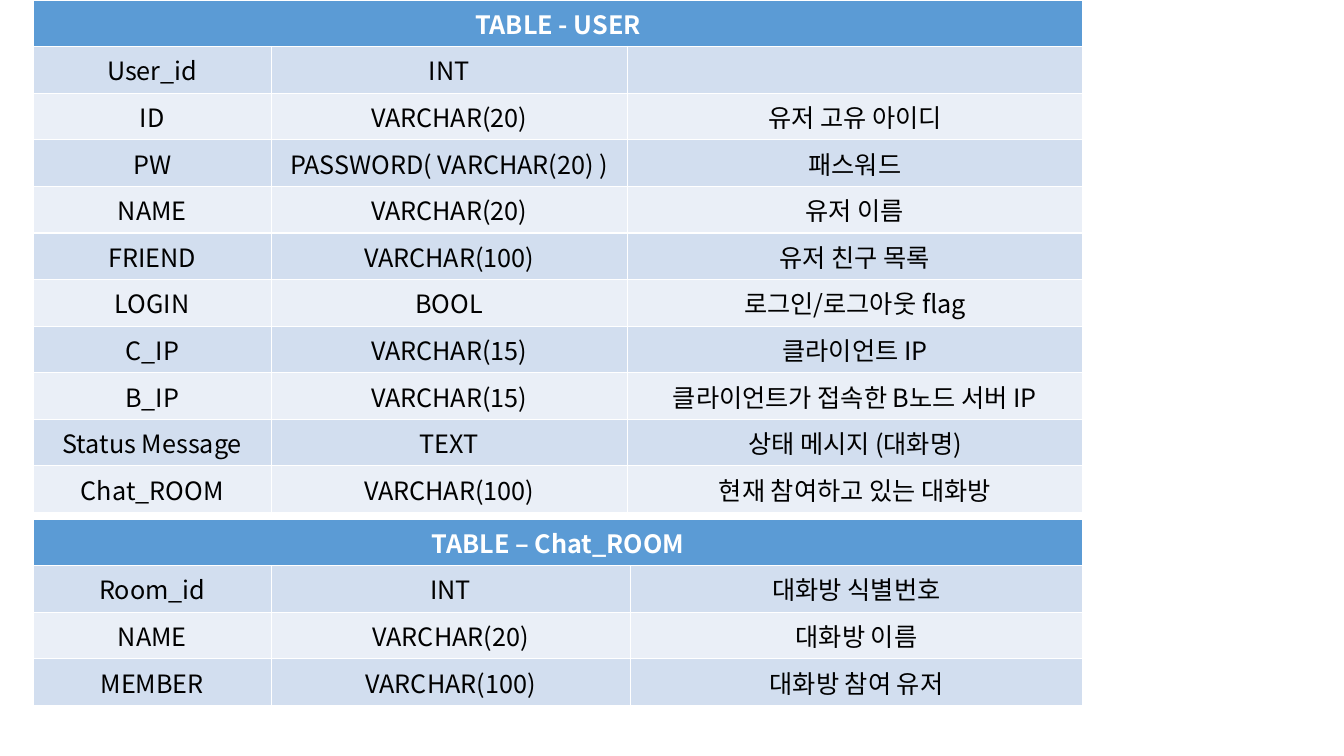
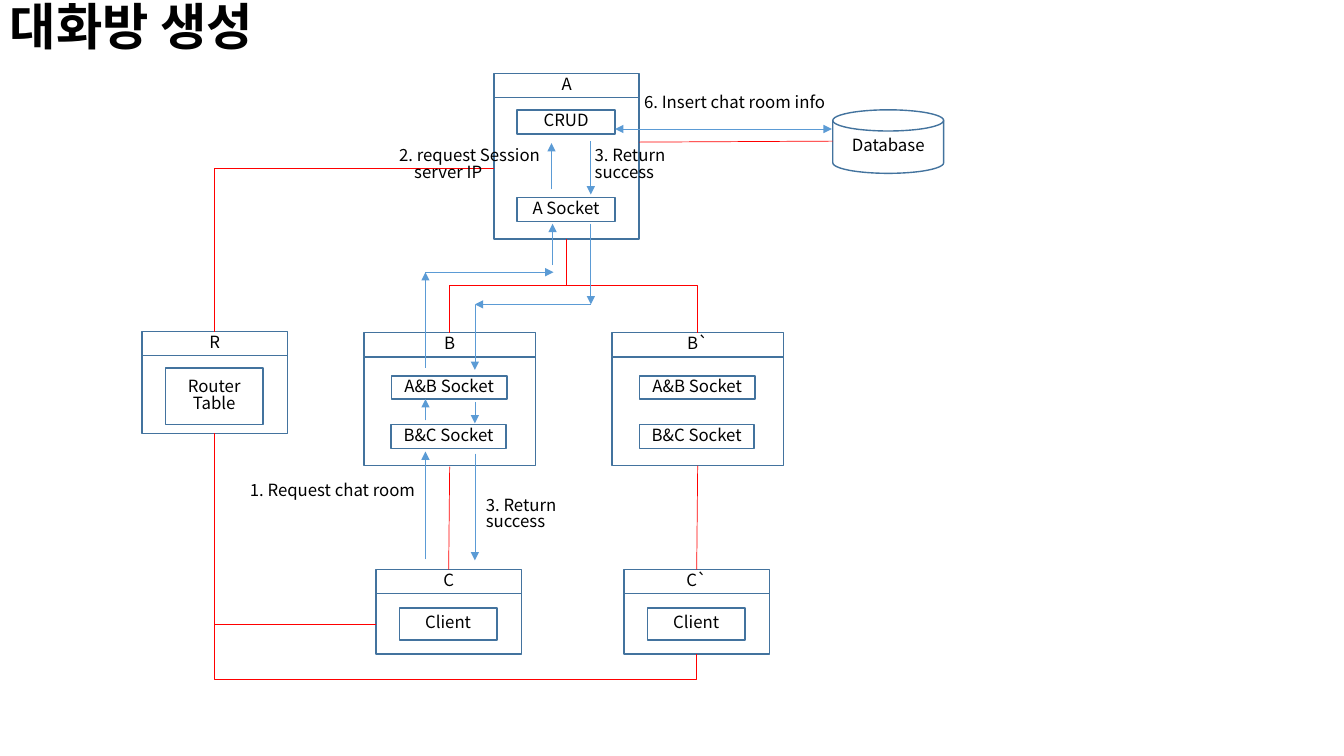
from lxml import etree
from pptx import Presentation
from pptx import util as u
from pptx.dml.color import RGBColor
from pptx.enum import shapes, text
from pptx.oxml.ns import qn

FONT = "Noto Sans CJK KR"
COLORS = {
    "header": "5B9BD5", "odd": "D2DEEF", "even": "EAEFF7",
    "outline": "43739E", "link": "FF0000", "flow": "5B9BD5",
    "ink": "000000", "paper": "FFFFFF",
}
ROW_HEIGHT = 0.46
DIAGRAM_SPACING = 0.83

USER_ROWS = [
    ("User_id", "INT", ""),
    ("ID", "VARCHAR(20)", "유저 고유 아이디"),
    ("PW", "PASSWORD( VARCHAR(20) )", "패스워드"),
    ("NAME", "VARCHAR(20)", "유저 이름"),
    ("FRIEND", "VARCHAR(100)", "유저 친구 목록"),
    ("LOGIN", "BOOL", "로그인/로그아웃 flag"),
    ("C_IP", "VARCHAR(15)", "클라이언트 IP"),
    ("B_IP", "VARCHAR(15)", "클라이언트가 접속한 B노드 서버 IP"),
    ("Status Message", "TEXT", "상태 메시지 (대화명)"),
    ("Chat_ROOM", "VARCHAR(100)", "현재 참여하고 있는 대화방"),
]
ROOM_ROWS = [
    ("Room_id", "INT", "대화방 식별번호"),
    ("NAME", "VARCHAR(20)", "대화방 이름"),
    ("MEMBER", "VARCHAR(100)", "대화방 참여 유저"),
]

SERVER_PARTS = [(0.23, 0.36, 0.97, 0.24, ["CRUD"]),
                (0.23, 1.23, 0.97, 0.24, ["A Socket"])]
ROUTER_PARTS = [(0.23, 0.36, 0.97, 0.56, ["Router", "Table"])]
NODE_PARTS = [(0.27, 0.43, 1.15, 0.23, ["A&B Socket"]),
              (0.27, 0.91, 1.14, 0.24, ["B&C Socket"])]
CLIENT_PARTS = [(0.23, 0.38, 0.97, 0.32, ["Client"])]
NODES = [
    ("A", (4.9, 0.73, 1.44, 1.64), SERVER_PARTS),
    ("R", (1.41, 3.29, 1.44, 1.01), ROUTER_PARTS),
    ("B", (3.61, 3.3, 1.7, 1.32), NODE_PARTS),
    ("B`", (6.07, 3.3, 1.7, 1.32), NODE_PARTS),
    ("C", (3.73, 5.65, 1.44, 0.84), CLIENT_PARTS),
    ("C`", (6.19, 5.65, 1.44, 0.84), CLIENT_PARTS),
]
LINKS = [
    ((4.46, 4.63), (4.45, 5.65)),
    ((6.92, 4.62), (6.91, 5.65)),
    ((6.34, 1.41), (8.26, 1.4)),
]
ELBOWS = [
    ((4.9, 1.67), (2.13, 3.29), 180, "v", 2, None),
    ((2.13, 4.3), (3.73, 6.19), 270, "h", 2, None),
    ((6.91, 6.49), (2.13, 4.3), 90, "h", 3, -0.115),
    ((4.46, 3.3), (5.62, 2.37), 90, "hv", 3, None),
    ((6.92, 3.3), (5.62, 2.37), 270, "v", 3, None),
]
FLOWS = [
    ((4.22, 5.55), (4.22, 4.48)),
    ((4.22, 4.17), (4.22, 3.96)),
    ((4.22, 3.65), (4.22, 2.7)),
    ((4.22, 2.7), (5.49, 2.7)),
    ((5.48, 2.63), (5.48, 2.22)),
    ((5.47, 1.88), (5.47, 1.42)),
    ((5.86, 1.4), (5.86, 1.93)),
    ((5.86, 2.22), (5.86, 3.02)),
    ((5.86, 3.02), (4.71, 3.02)),
    ((4.71, 3.03), (4.71, 3.67)),
    ((4.71, 3.99), (4.71, 4.2)),
    ((4.71, 4.5), (4.71, 5.56)),
]
NOTES = [
    ((2.38, 4.74, 1.9, 0.3), ["1. Request chat room"]),
    ((4.72, 4.89, 1.2, 0.5), ["3. Return success"]),
    ((3.86, 1.42, 1.65, 0.5), ["2. request Session ", "server IP"]),
    ((6.29, 0.89, 2.1, 0.3), ["6. Insert chat room info"]),
    ((5.8, 1.42, 1.2, 0.5), ["3. Return success"]),
]


def rgb(name):
    """Return the named palette colour."""
    return RGBColor.from_string(COLORS[name])


def inches(values):
    """Convert a sequence of numbers to lengths."""
    return [u.Inches(v) for v in values]


def add_run(p, words, size, color="ink", bold=False):
    """Add one styled run to a paragraph."""
    r = p.add_run()
    r.text = words
    r.font.size, r.font.bold, r.font.name = u.Pt(size), bold, FONT
    r.font.color.rgb = rgb(color)
    etree.SubElement(r._r.get_or_add_rPr(), qn("a:ea"), typeface=FONT)


def write(tf, lines, size, align, bold=False, indent=0):
    """Write lines as paragraphs, indenting those after the first."""
    tf.word_wrap = True
    for i, words in enumerate(lines):
        p = tf.add_paragraph() if i else tf.paragraphs[0]
        p.alignment, p.line_spacing = align, DIAGRAM_SPACING
        if i and indent:
            p._p.get_or_add_pPr().set("marL", str(u.Inches(indent)))
        add_run(p, words, size, bold=bold)


def add_label(s, box, lines, size=12, bold=False):
    """Add a left-aligned text box."""
    tf = s.shapes.add_textbox(*inches(box)).text_frame
    write(tf, lines, size, text.PP_ALIGN.LEFT, bold, indent=0.15)


def add_box(s, box, lines=(), kind=shapes.MSO_SHAPE.RECTANGLE):
    """Add an outlined shape with centred text."""
    sp = s.shapes.add_shape(kind, *inches(box))
    sp.shadow.inherit = False
    sp.fill.background()
    sp.line.color.rgb, sp.line.width = rgb("outline"), u.Pt(1)
    tf = sp.text_frame
    tf.margin_left = tf.margin_right = tf.margin_top = tf.margin_bottom = 0
    tf.vertical_anchor = text.MSO_ANCHOR.MIDDLE
    write(tf, lines, 12, text.PP_ALIGN.CENTER)


def add_node(s, box, title, parts, header=0.24):
    """Add a titled node and its inner parts, placed from its corner."""
    left, top, width, height = box
    add_box(s, (left, top, width, header), [title])
    add_box(s, (left, top + header, width, height - header))
    for dx, dy, w, h, lines in parts:
        add_box(s, (left + dx, top + dy, w, h), lines)


def add_line(s, start, end, color, ends=(), kind=shapes.MSO_CONNECTOR.STRAIGHT):
    """Add a thin connector with optional arrowheads."""
    cn = s.shapes.add_connector(kind, *inches(start + end))
    cn.line.color.rgb, cn.line.width = rgb(color), u.Pt(0.5)
    for tag in ends:
        etree.SubElement(cn.line._get_or_add_ln(), qn(tag), type="triangle")
    etree.SubElement(cn._element.spPr, qn("a:effectLst"))
    return cn


def add_elbow(s, start, end, turn, flips, bends, adjust):
    """Add a bent link whose frame is turned about the midpoint."""
    (x1, y1), (x2, y2) = start, end
    w, h = abs(x2 - x1), abs(y2 - y1)
    if turn in (90, 270):
        w, h = h, w
    left, top = (x1 + x2 - w) / 2, (y1 + y2 - h) / 2
    cn = add_line(s, (left, top), (left + w, top + h), "link",
                  kind=shapes.MSO_CONNECTOR.ELBOW)
    spPr = cn._element.spPr
    xfrm = spPr.find(qn("a:xfrm"))
    xfrm.set("rot", str(turn * 60000))
    for flip in flips:
        xfrm.set("flip" + flip.upper(), "1")
    geom = spPr.find(qn("a:prstGeom"))
    geom.set("prst", f"bentConnector{bends}")
    if adjust is not None:
        guides = geom.find(qn("a:avLst"))
        if guides is None:
            guides = etree.SubElement(geom, qn("a:avLst"))
        etree.SubElement(guides, qn("a:gd"), name="adj1",
                         fmla=f"val {round(adjust * 100000)}")


def add_schema(s, left, top, widths, title, rows):
    """Add a schema table with a merged header and banded rows."""
    count = len(rows) + 1
    box = (left, top, sum(widths), count * ROW_HEIGHT)
    table = s.shapes.add_table(count, len(widths), *inches(box)).table
    for column, width in zip(table.columns, widths):
        column.width = u.Inches(width)
    table.cell(0, 0).merge(table.cell(0, len(widths) - 1))
    for i, values in enumerate([(title, "", "")] + rows):
        table.rows[i].height = u.Inches(ROW_HEIGHT)
        band = "header" if i == 0 else ("even", "odd")[i % 2]
        for j, words in enumerate(values):
            cell = table.cell(i, j)
            cell.fill.solid()
            cell.fill.fore_color.rgb = rgb(band)
            p = cell.text_frame.paragraphs[0]
            p.alignment = text.PP_ALIGN.CENTER
            if words:
                add_run(p, words, 18, "ink" if i else "paper", i == 0)


def schema_slide(prs):
    """Build the database schema slide."""
    s = prs.slides.add_slide(prs.slide_layouts[6])
    add_schema(s, 0.33, 0, (2.36, 3.53, 4.52), "TABLE - USER", USER_ROWS)
    add_schema(s, 0.33, 5.15, (2.36, 3.56, 4.49), "TABLE – Chat_ROOM", ROOM_ROWS)


def room_slide(prs):
    """Build the chat room creation diagram."""
    s = prs.slides.add_slide(prs.slide_layouts[6])
    add_label(s, (0, 0, 3.08, 0.71), ["대화방 생성 "], 36, True)
    for title, box, parts in NODES:
        add_node(s, box, title, parts)
    add_box(s, (8.26, 1.09, 1.1, 0.63), ["Database"],
            shapes.MSO_SHAPE.FLOWCHART_MAGNETIC_DISK)
    for start, end in LINKS:
        add_line(s, start, end, "link")
    for elbow in ELBOWS:
        add_elbow(s, *elbow)
    for start, end in FLOWS:
        add_line(s, start, end, "flow", ["a:tailEnd"])
    add_line(s, (6.1, 1.28), (8.25, 1.28), "flow", ["a:headEnd", "a:tailEnd"])
    for box, lines in NOTES:
        add_label(s, box, lines)


def main():
    """Build and save the presentation."""
    prs = Presentation()
    prs.slide_width, prs.slide_height = inches((13.33, 7.5))
    schema_slide(prs)
    room_slide(prs)
    prs.save("out.pptx")


main()
